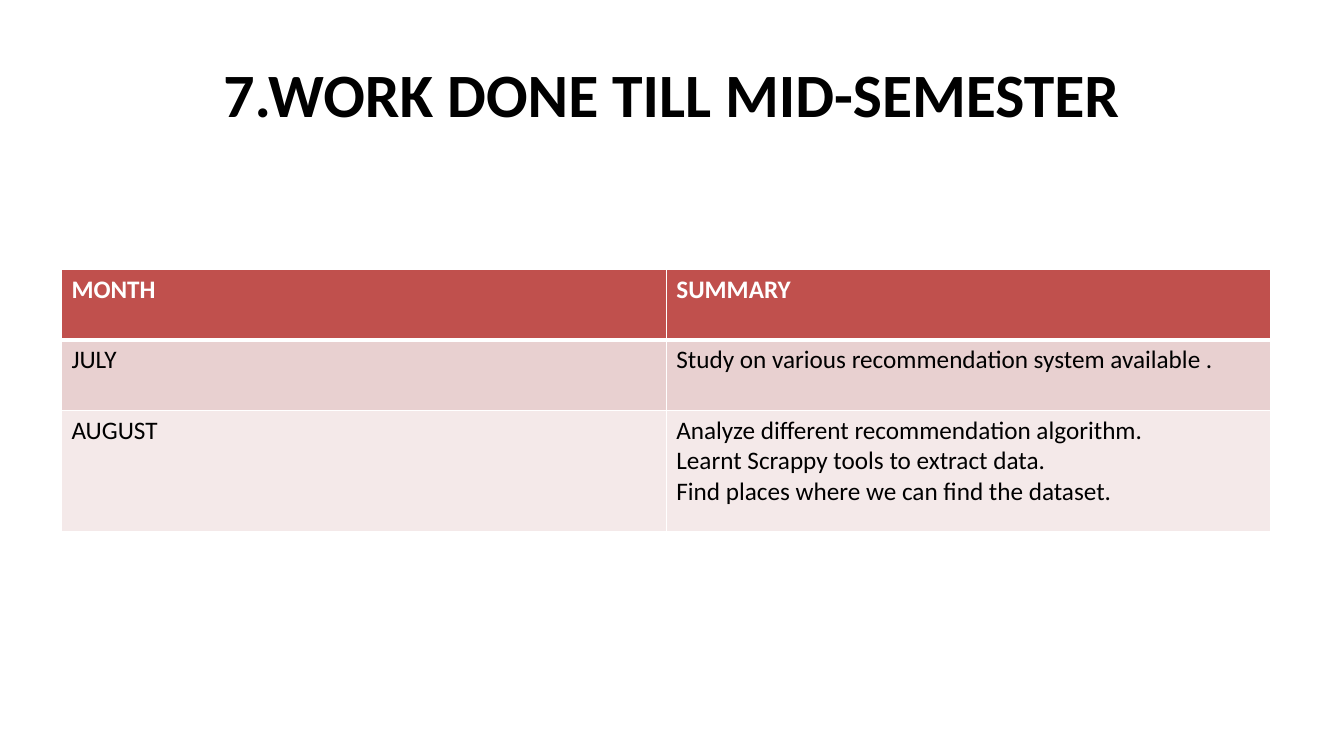
from pptx import Presentation, util as u
from pptx.dml.color import RGBColor
from pptx.enum import text
from pptx.oxml import ns
from lxml import etree

COLORS = {"ink": "000000", "paper": "FFFFFF", "header": "C0504D",
          "band_dark": "E8D0D0", "band_light": "F4E9E9"}


class Deck:
    font = "Calibri"

    def __init__(self, width, height):
        self.prs = Presentation()
        self.prs.slide_width, self.prs.slide_height = u.Inches(width), u.Inches(height)
        self.slide = self.prs.slides.add_slide(self.prs.slide_layouts[6])

    def box(self, left, top, width, height):
        across, down = self.prs.slide_width, self.prs.slide_height
        return int(left * across), int(top * down), int(width * across), int(height * down)

    def style(self, frame, size, color, bold):
        for paragraph in frame.paragraphs:
            for run in paragraph.runs:
                run.font.name, run.font.size, run.font.bold = self.font, u.Pt(size), bold
                run.font.color.rgb = RGBColor.from_string(COLORS[color])

    def title(self, wording, *place):
        frame = self.slide.shapes.add_textbox(*self.box(*place)).text_frame
        frame.word_wrap = True
        frame.vertical_anchor = text.MSO_ANCHOR.MIDDLE
        frame.text = wording
        frame.paragraphs[0].alignment = text.PP_ALIGN.CENTER
        self.style(frame, 44, "ink", True)

    def border(self, cell, side, points):
        line = etree.SubElement(cell._tc.get_or_add_tcPr(), ns.qn(f"a:ln{side}"), w=str(u.Pt(points)))
        fill = etree.SubElement(line, ns.qn("a:solidFill"))
        etree.SubElement(fill, ns.qn("a:srgbClr"), val=COLORS["paper"])

    def table(self, rows, heights, fills, *place):
        grid = self.slide.shapes.add_table(len(rows), len(rows[0]), *self.box(*place)).table
        for r, (entries, height, fill) in enumerate(zip(rows, heights, fills)):
            grid.rows[r].height = int(height * self.prs.slide_height)
            for c, entry in enumerate(entries):
                cell = grid.cell(r, c)
                for side in "LRTB":
                    under_header = (r, side) in ((0, "B"), (1, "T"))
                    self.border(cell, side, 3 if under_header else 1)
                cell.fill.solid()
                cell.fill.fore_color.rgb = RGBColor.from_string(COLORS[fill])
                cell.text_frame.text = entry
                self.style(cell.text_frame, 18, "ink" if r else "paper", r == 0)


deck = Deck(13.33, 7.5)
deck.title("7.WORK DONE TILL MID-SEMESTER", 0.05, 0.04, 0.9, 1 / 6)

august_work = "\n".join(["Analyze different recommendation algorithm.",
                         "Learnt Scrappy tools to extract data.",
                         "Find places where we can find the dataset."])
work_by_month = [("MONTH", "SUMMARY"),
                 ("JULY", "Study on various recommendation system available ."),
                 ("AUGUST", august_work)]
row_heights = [0.7 / 7.5, 0.7 / 7.5, 1.2 / 7.5]
deck.table(work_by_month, row_heights, ["header", "band_dark", "band_light"],
           0.61 / 13.33, 2.67 / 7.5, 0.9, sum(row_heights))

deck.prs.save("out.pptx")
